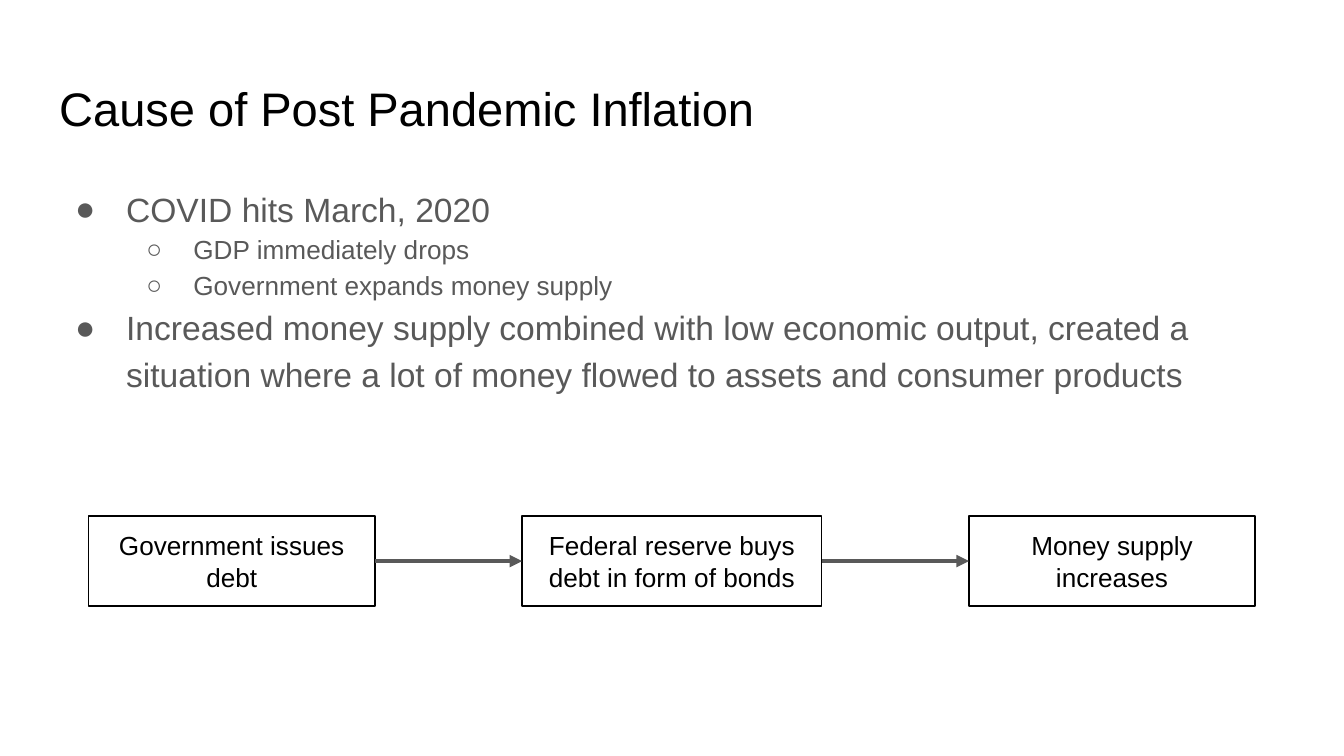
from pptx import Presentation
from pptx.dml.color import RGBColor
from pptx.enum.shapes import MSO_CONNECTOR, MSO_SHAPE
from pptx.enum.text import MSO_ANCHOR, PP_ALIGN
from pptx.oxml.ns import qn
from pptx.util import Inches, Pt
from lxml import etree

RECTANGLE = MSO_SHAPE.RECTANGLE
STRAIGHT = MSO_CONNECTOR.STRAIGHT
TOP, MIDDLE = MSO_ANCHOR.TOP, MSO_ANCHOR.MIDDLE
LEFT, CENTER = PP_ALIGN.LEFT, PP_ALIGN.CENTER
RIGHT_SIDE, LEFT_SIDE = 3, 1

PAGE_WIDTH = 10
PAGE_HEIGHT = PAGE_WIDTH * 9 / 16
FONT = "Arial"
COLORS = {"black": "000000", "gray": "595959"}

# Per level: bullet, text size, left margin, hanging indent
LEVELS = [("●", 18, 0.5, 0.38), ("○", 14, 1, 0.35)]
BULLETS = [
    (0, "COVID hits March, 2020"),
    (1, "GDP immediately drops"),
    (1, "Government expands money supply"),
    (0, "Increased money supply combined with low economic output, created a "
        "situation where a lot of money flowed to assets and consumer products"),
]
STEPS = [
    ("Government issues debt", 2.13),
    ("Federal reserve buys debt in form of bonds", 2.23),
    ("Money supply increases", 2.13),
]


def color(name):
    return RGBColor.from_string(COLORS[name])


def prepare_frame(frame, anchor):
    frame.word_wrap = True
    frame.vertical_anchor = anchor
    frame.margin_left = frame.margin_right = Inches(0.1)
    frame.margin_top = frame.margin_bottom = Inches(0.1)


def add_span(para, text, size, color_name):
    span = para.add_run()
    span.text = text
    span.font.name = FONT
    span.font.size = Pt(size)
    span.font.color.rgb = color(color_name)


def set_bullet(para, level):
    mark, _, margin, hanging = LEVELS[level]
    props = para._p.get_or_add_pPr()
    props.set("marL", str(Inches(margin)))
    props.set("indent", str(-Inches(hanging)))
    bullet_color = etree.SubElement(props, qn("a:buClr"))
    etree.SubElement(bullet_color, qn("a:srgbClr"), val=COLORS["gray"])
    etree.SubElement(props, qn("a:buFont"), typeface=FONT)
    etree.SubElement(props, qn("a:buChar"), char=mark)


def place_title(page, left, top, width, height):
    title = page.shapes.title
    title.left, title.top = Inches(left), Inches(top)
    title.width, title.height = Inches(width), Inches(height)
    prepare_frame(title.text_frame, TOP)
    para = title.text_frame.paragraphs[0]
    para.alignment = LEFT
    para.line_spacing = 1.0
    add_span(para, "Cause of Post Pandemic Inflation", 25.2, "black")


def add_bullets(page, left, top, width, height):
    box = page.shapes.add_textbox(
        Inches(left), Inches(top), Inches(width), Inches(height))
    frame = box.text_frame
    prepare_frame(frame, TOP)
    for index, (level, text) in enumerate(BULLETS):
        para = frame.add_paragraph() if index else frame.paragraphs[0]
        para.level = level
        para.line_spacing = 1.15
        set_bullet(para, level)
        add_span(para, text, LEVELS[level][1], "gray")


def add_step(page, text, left, top, width, height):
    box = page.shapes.add_shape(
        RECTANGLE, Inches(left), Inches(top), Inches(width), Inches(height))
    box.shadow.inherit = False
    box.fill.background()
    box.line.color.rgb = color("black")
    box.line.width = Pt(0.75)
    prepare_frame(box.text_frame, MIDDLE)
    para = box.text_frame.paragraphs[0]
    para.alignment = CENTER
    add_span(para, text, 14, "black")
    return box


def add_arrow(page, start, end):
    arrow = page.shapes.add_connector(STRAIGHT, 0, 0, 0, 0)
    arrow.begin_connect(start, RIGHT_SIDE)
    arrow.end_connect(end, LEFT_SIDE)
    arrow.line.color.rgb = color("gray")
    arrow.line.width = Pt(2.25)
    etree.SubElement(arrow.line._get_or_add_ln(), qn("a:tailEnd"), type="triangle")
    etree.SubElement(arrow._element.spPr, qn("a:effectLst"))


def add_flow(page, left, top, width, height):
    """Spread the steps over the width with equal gaps and join them by arrows."""
    gap = (width - sum(step_width for _, step_width in STEPS)) / (len(STEPS) - 1)
    boxes = []
    for text, step_width in STEPS:
        boxes.append(add_step(page, text, left, top, step_width, height))
        left += step_width + gap
    for start, end in zip(boxes, boxes[1:]):
        add_arrow(page, start, end)


def main():
    deck = Presentation()
    deck.slide_width, deck.slide_height = Inches(PAGE_WIDTH), Inches(PAGE_HEIGHT)
    page = deck.slides.add_slide(deck.slide_layouts[5])
    place_title(page, 0.34, 0.49, 9.32, 0.63)
    add_bullets(page, 0.34, 1.26, 9.32, 1.92)
    add_flow(page, 0.66, 3.84, 8.68, 0.67)
    deck.save("out.pptx")


if __name__ == "__main__":
    main()
